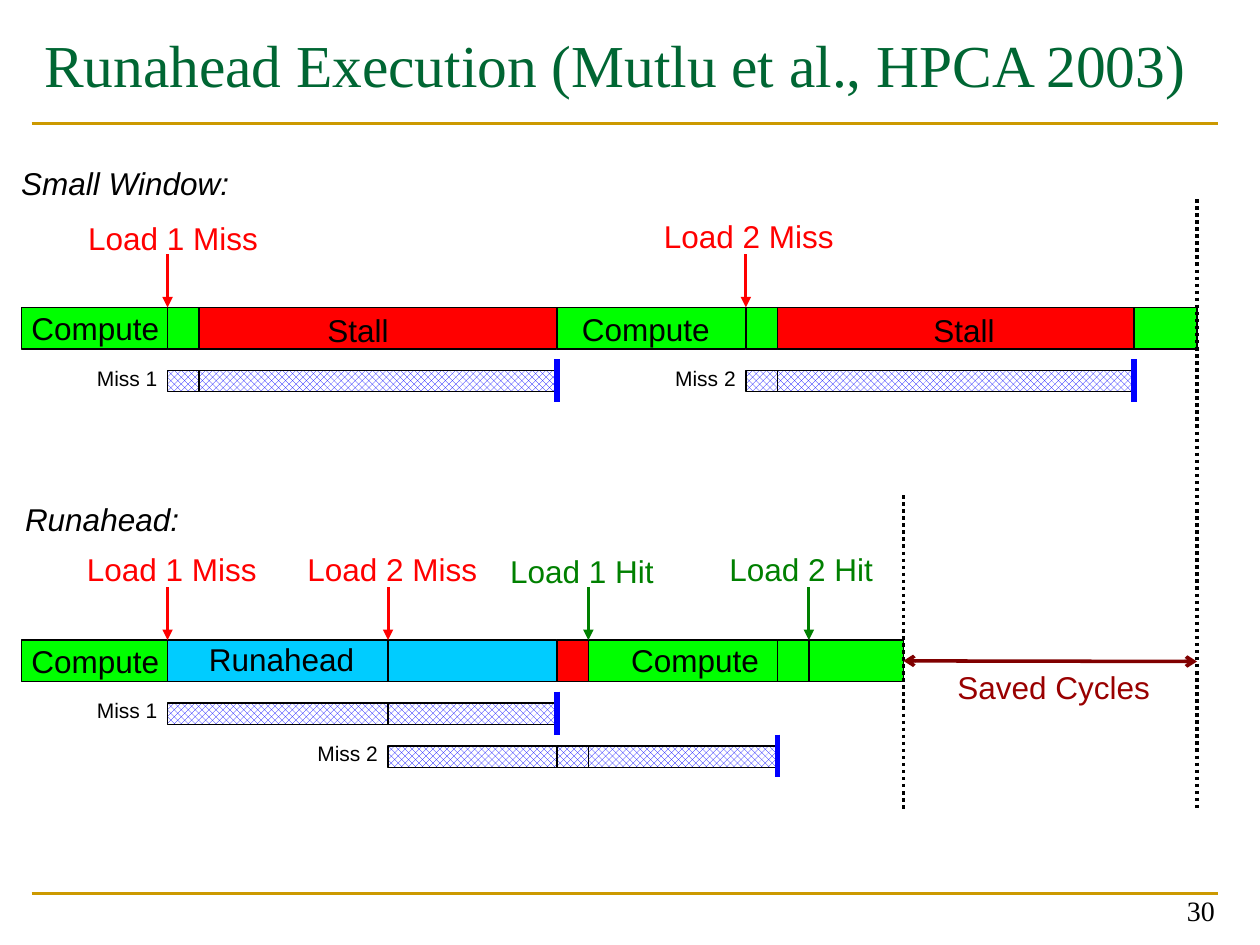
from dataclasses import dataclass
from itertools import pairwise

import pptx
import pptx.dml.color
import pptx.enum.dml
import pptx.enum.shapes
import pptx.enum.text
import pptx.oxml
import pptx.oxml.ns
import pptx.util
from pptx.util import Inches


@dataclass(frozen=True)
class Theme:
    sans: str = "Arial"
    serif: str = "Times New Roman"
    title: str = "006633"
    rule: str = "CC9900"
    ink: str = "000000"
    paper: str = "FFFFFF"
    compute: str = "00FF00"
    stall: str = "FF0000"
    runahead: str = "00CCFF"
    memory: str = "0000FF"
    hit: str = "008000"
    saved_arrow: str = "800000"
    saved_text: str = "990000"
    title_size: int = 34
    number_size: int = 16
    label_size: int = 18
    miss_size: int = 12


THEME = Theme()
BAR_HEIGHT = 0.33
MISS_HEIGHT = 0.17


@dataclass(frozen=True)
class Label:
    text: str
    left: float
    top: float
    width: float
    color: str = THEME.ink
    size: int = THEME.label_size
    height: float = 0.4
    italic: bool = False
    wrap: bool = False


@dataclass(frozen=True)
class Event:
    x: float
    label: Label


@dataclass(frozen=True)
class Miss:
    name: str
    top: float
    edges: tuple[float, ...]


@dataclass(frozen=True)
class Timeline:
    heading: Label
    top: float
    edges: tuple[float, ...]
    fills: tuple[str, ...]
    labels: tuple[Label, ...]
    events: tuple[Event, ...]
    misses: tuple[Miss, ...]


SMALL_WINDOW = Timeline(
    heading=Label("Small Window:", 0.07, 1.25, 2.18, italic=True, wrap=True),
    top=2.44,
    edges=(0.17, 1.33, 1.58, 4.42, 5.92, 6.17, 9, 9.5),
    fills=(THEME.compute, THEME.compute, THEME.stall, THEME.compute,
           THEME.compute, THEME.stall, THEME.compute),
    labels=(
        Label("Compute", 0.15, 2.4, 1.22),
        Label("Stall", 2.5, 2.42, 0.69),
        Label("Compute", 4.52, 2.41, 1.22),
        Label("Stall", 7.31, 2.42, 0.69),
    ),
    events=(
        Event(1.33, Label("Load 1 Miss", 0.6, 1.69, 1.55, THEME.stall)),
        Event(5.92, Label("Load 2 Miss", 5.17, 1.67, 1.55, THEME.stall)),
    ),
    misses=(
        Miss("Miss 1", 2.94, (1.33, 1.58, 4.42)),
        Miss("Miss 2", 2.94, (5.92, 6.17, 9)),
    ),
)

RUNAHEAD = Timeline(
    heading=Label("Runahead:", 0.1, 3.92, 2.18, italic=True, wrap=True),
    top=5.08,
    edges=(0.17, 1.33, 3.08, 4.42, 4.67, 6.17, 6.42, 7.17),
    fills=(THEME.compute, THEME.runahead, THEME.runahead, THEME.stall,
           THEME.compute, THEME.compute, THEME.compute),
    labels=(
        Label("Compute", 0.15, 5.05, 1.22),
        Label("Runahead", 1.56, 5.03, 1.38),
        Label("Compute", 4.91, 5.04, 1.22),
    ),
    events=(
        Event(1.33, Label("Load 1 Miss", 0.59, 4.32, 1.55, THEME.stall)),
        Event(3.08, Label("Load 2 Miss", 2.34, 4.32, 1.55, THEME.stall)),
        Event(4.67, Label("Load 1 Hit", 3.95, 4.33, 1.34, THEME.hit)),
        Event(6.42, Label("Load 2 Hit", 5.69, 4.32, 1.34, THEME.hit)),
    ),
    misses=(
        Miss("Miss 1", 5.58, (1.33, 3.08, 4.42)),
        Miss("Miss 2", 5.92, (3.08, 4.42, 4.67, 6.17)),
    ),
)


def rgb(color: str):
    return pptx.dml.color.RGBColor.from_string(color)


def format_text(text_frame, font: str, size: int, color: str, italic: bool = False) -> None:
    for run in text_frame.paragraphs[0].runs:
        run.font.name = font
        run.font.size = pptx.util.Pt(size)
        run.font.color.rgb = rgb(color)
        run.font.italic = italic


def add_label(slide, label: Label) -> None:
    box = slide.shapes.add_textbox(Inches(label.left), Inches(label.top),
                                   Inches(label.width), Inches(label.height))
    box.text_frame.text = label.text
    box.text_frame.word_wrap = label.wrap
    box.text_frame.auto_size = pptx.enum.text.MSO_AUTO_SIZE.SHAPE_TO_FIT_TEXT
    format_text(box.text_frame, THEME.sans, label.size, label.color, label.italic)


def add_line(slide, start: tuple[float, float], end: tuple[float, float], color: str,
             width: float, head: str = "", tail: str = "", dotted: bool = False):
    line = slide.shapes.add_connector(pptx.enum.shapes.MSO_CONNECTOR.STRAIGHT,
                                      *map(Inches, start + end))
    line.line.color.rgb = rgb(color)
    line.line.width = pptx.util.Pt(width)
    if dotted:
        line.line.dash_style = pptx.enum.dml.MSO_LINE.ROUND_DOT
    outline = line.line._get_or_add_ln()
    for tag, kind in (("a:headEnd", head), ("a:tailEnd", tail)):
        if kind:
            arrowhead = pptx.oxml.parse_xml(f'<{tag} {pptx.oxml.ns.nsdecls("a")} type="{kind}"/>')
            outline.append(arrowhead)
    line._element.spPr.append(
        pptx.oxml.parse_xml(f'<a:effectLst {pptx.oxml.ns.nsdecls("a")}/>'))
    return line


def add_segment(slide, left: float, right: float, top: float, height: float, fill: str = ""):
    segment = slide.shapes.add_shape(pptx.enum.shapes.MSO_SHAPE.RECTANGLE, Inches(left),
                                     Inches(top), Inches(right - left), Inches(height))
    segment.shadow.inherit = False
    segment.line.color.rgb = rgb(THEME.ink)
    segment.line.width = pptx.util.Pt(0.75)
    if fill:
        segment.fill.solid()
        segment.fill.fore_color.rgb = rgb(fill)
    else:
        segment.fill.patterned()
        segment.fill.pattern = pptx.enum.dml.MSO_PATTERN.LARGE_CHECKER_BOARD
        segment.fill.fore_color.rgb = rgb(THEME.memory)
        segment.fill.back_color.rgb = rgb(THEME.paper)
    return segment


def add_miss(slide, miss: Miss) -> None:
    for left, right in pairwise(miss.edges):
        add_segment(slide, left, right, miss.top, MISS_HEIGHT)
    end = miss.edges[-1]
    add_line(slide, (end, miss.top - 0.09), (end, miss.top + 0.25), THEME.memory, 3)
    add_label(slide, Label(miss.name, miss.edges[0] - 0.66, miss.top - 0.09, 0.68,
                           size=THEME.miss_size, height=0.3))


def add_timeline(slide, timeline: Timeline):
    add_label(slide, timeline.heading)
    segments = [add_segment(slide, left, right, timeline.top, BAR_HEIGHT, fill)
                for (left, right), fill in zip(pairwise(timeline.edges), timeline.fills)]
    for label in timeline.labels:
        add_label(slide, label)
    for event in timeline.events:
        add_line(slide, (event.x, timeline.top - 0.42), (event.x, timeline.top),
                 event.label.color, 1.75, tail="triangle")
        add_label(slide, event.label)
    for miss in timeline.misses:
        add_miss(slide, miss)
    return segments[-1]


def add_frame(slide) -> None:
    for y in (0.98, 7.09):
        add_line(slide, (0.25, y), (9.67, y), THEME.rule, 1.5)
    title = slide.shapes.title
    title.left, title.top, title.width, title.height = map(Inches, (0.25, 0.17, 9.42, 1.17))
    title.text_frame.text = "Runahead Execution (Mutlu et al., HPCA 2003)"
    title.text_frame.vertical_anchor = pptx.enum.text.MSO_ANCHOR.TOP
    title.text_frame.paragraphs[0].alignment = pptx.enum.text.PP_ALIGN.LEFT
    format_text(title.text_frame, THEME.serif, THEME.title_size, THEME.title)
    number = slide.shapes.add_textbox(*map(Inches, (7.41, 6.91, 2.33, 0.5)))
    number.text_frame.text = "30"
    number.text_frame.word_wrap = True
    number.text_frame.vertical_anchor = pptx.enum.text.MSO_ANCHOR.BOTTOM
    number.text_frame.paragraphs[0].alignment = pptx.enum.text.PP_ALIGN.RIGHT
    format_text(number.text_frame, THEME.serif, THEME.number_size, THEME.ink)


def main() -> None:
    presentation = pptx.Presentation()
    presentation.slide_width, presentation.slide_height = Inches(10), Inches(7.5)
    slide = presentation.slides.add_slide(presentation.slide_layouts[5])
    add_frame(slide)
    add_timeline(slide, SMALL_WINDOW)
    last_segment = add_timeline(slide, RUNAHEAD)
    for x, top in ((7.17, 3.93), (9.5, 1.58)):
        add_line(slide, (x, top), (x, 6.42), THEME.ink, 2, dotted=True)
    saved = add_line(slide, (7.17, 5.25), (9.5, 5.25), THEME.saved_arrow, 2, "arrow", "arrow")
    saved.begin_connect(last_segment, 3)
    add_label(slide, Label("Saved Cycles", 7.5, 5.25, 1.83, THEME.saved_text, wrap=True))
    presentation.save("out.pptx")


if __name__ == "__main__":
    main()
